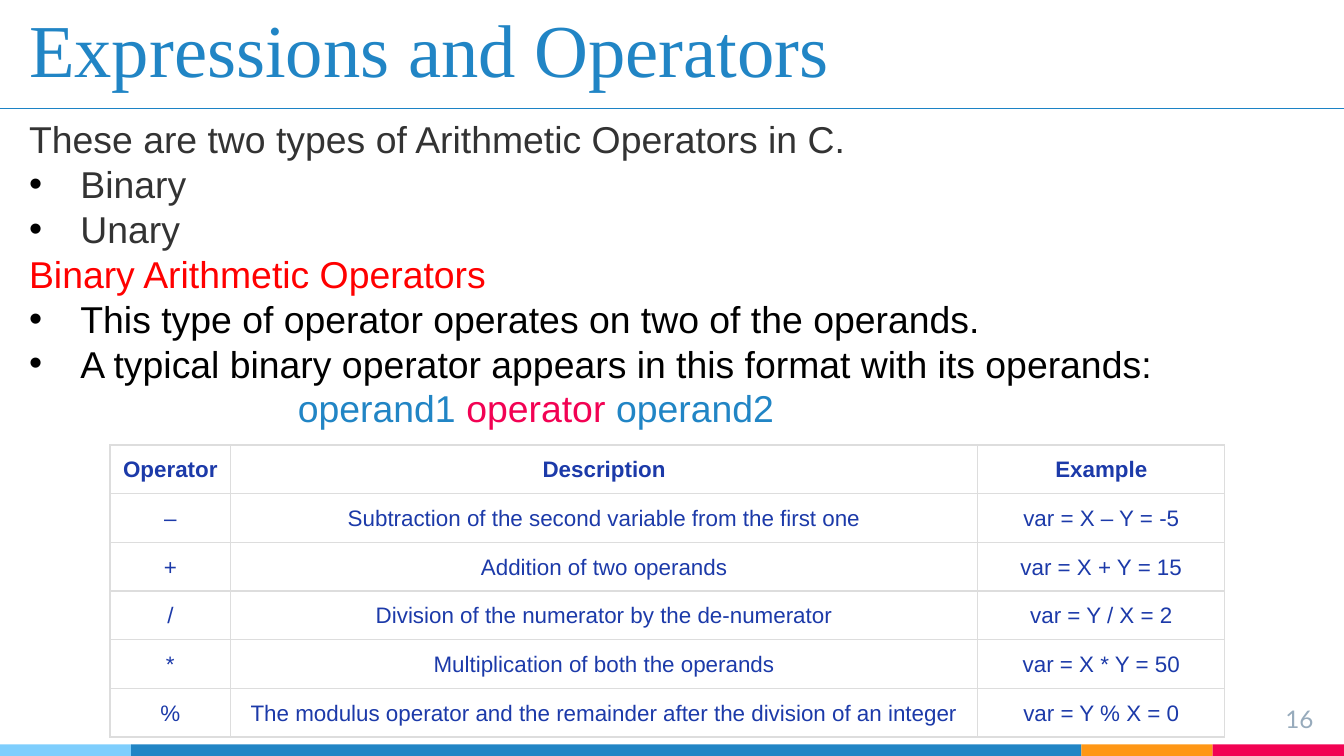
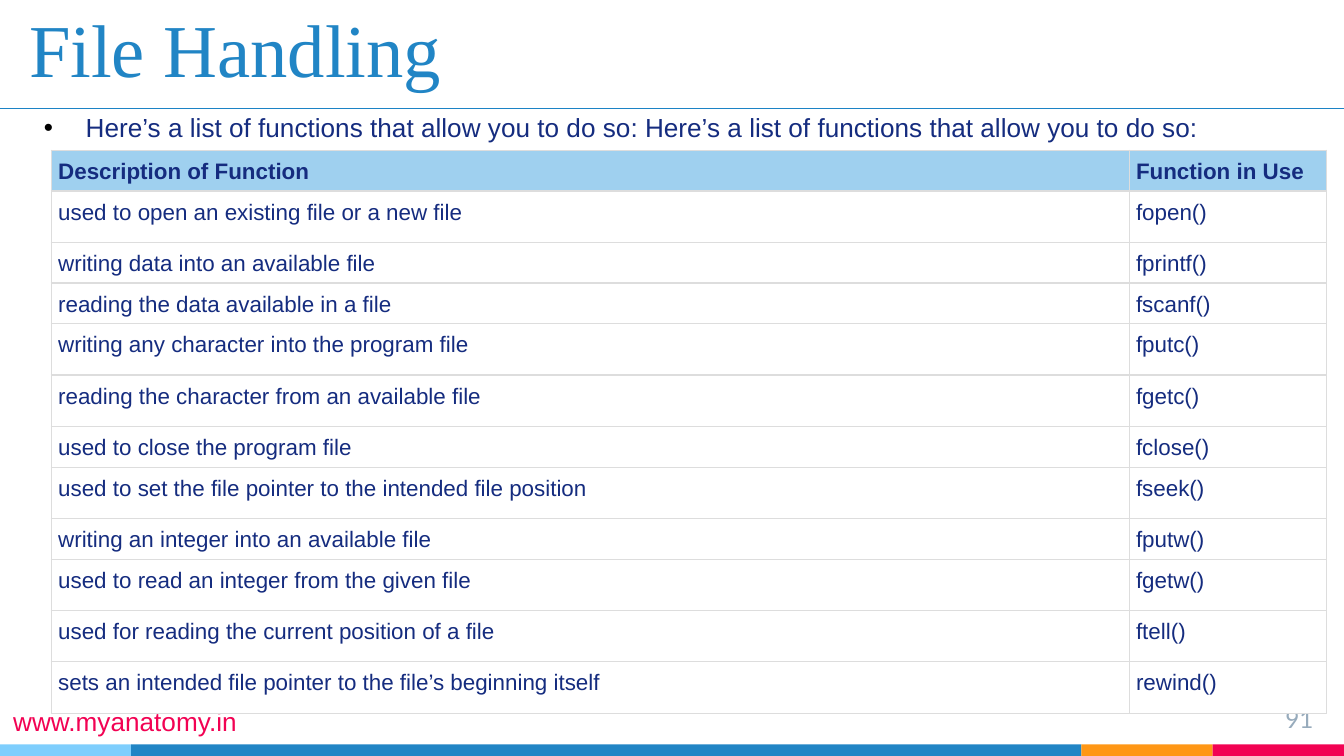
"""Build two C lecture slides: arithmetic operators and file handling."""
import pptx
import pptx.util
import pptx.dml.color
import pptx.enum.shapes
import pptx.enum.text
import pptx.oxml
import pptx.oxml.ns

Cm, Pt = pptx.util.Cm, pptx.util.Pt
ALIGN = pptx.enum.text.PP_ALIGN
FIT = pptx.enum.text.MSO_AUTO_SIZE
SHAPE = pptx.enum.shapes.MSO_SHAPE
LINK = pptx.enum.shapes.MSO_CONNECTOR

HUES = {
    "blue": "2185C5", "sky": "7ECEFD", "orange": "FF9715", "pink": "F20253",
    "rule": "1C83C5", "grey": "97ABBC", "dark": "333333", "red": "FF0000",
    "black": "000000", "white": "FFFFFF", "edge": "DDDDDD",
    "royal": "1C3AA9", "navy": "152C7F", "head": "9FD0EF",
}
WIDE, HIGH = 25.4, 14.29
BANDS = [("sky", 2.48), ("blue", 17.96), ("orange", 2.48), ("pink", 2.48)]
BAND = 0.22

TYPES = [
    ("", [("These are two types of Arithmetic Operators in C.", "dark")]),
    ("•", [("Binary", "dark")]),
    ("•", [("Unary", "dark")]),
    ("", [("Binary Arithmetic Operators", "red")]),
    ("•", [("This type of operator operates on two of the operands.", "black")]),
    ("•", [("A typical binary operator appears in this format with its operands:",
            "black")]),
    ("in", [("operand1 ", "blue"), ("operator ", "pink"), ("operand2", "blue")]),
]
MATHS = [
    ("Operator", "Description", "Example"),
    ("–", "Subtraction of the second variable from the first one", "var = X – Y = -5"),
    ("+", "Addition of two operands", "var = X + Y = 15"),
    ("/", "Division of the numerator by the de-numerator", "var = Y / X = 2"),
    ("*", "Multiplication of both the operands", "var = X * Y = 50"),
    ("%", "The modulus operator and the remainder after the division of an integer",
     "var = Y % X = 0"),
]
INTRO = [("•", [("Here’s a list of functions that allow you to do so: "
                 "Here’s a list of functions that allow you to do so:", "navy")])]
SITE = [("", [("www.myanatomy.in", "pink")])]
FILES = [
    ("Description of Function", "Function in Use"),
    ("used to open an existing file or a new file", "fopen()"),
    ("writing data into an available file", "fprintf()"),
    ("reading the data available in a file", "fscanf()"),
    ("writing any character into the program file", "fputc()"),
    ("reading the character from an available file", "fgetc()"),
    ("used to close the program file", "fclose()"),
    ("used to set the file pointer to the intended file position", "fseek()"),
    ("writing an integer into an available file", "fputw()"),
    ("used to read an integer from the given file", "fgetw()"),
    ("used for reading the current position of a file", "ftell()"),
    ("sets an intended file pointer to the file’s beginning itself", "rewind()"),
]
LOW, TALL = 0.77, 0.97
ROWS = [LOW, TALL, LOW, LOW, TALL, TALL, LOW, TALL, LOW, TALL, TALL, TALL]


def put(item, **vals):
    for name, val in vals.items():
        setattr(item, name, val)


def rgb(hue):
    return pptx.dml.color.RGBColor.from_string(HUES[hue])


def paint(fill, hue):
    fill.solid()
    fill.fore_color.rgb = rgb(hue)


def add_xml(node, tag, body=""):
    space = pptx.oxml.ns.nsdecls("a")
    name = tag.split()[0]
    node.append(pptx.oxml.parse_xml(f"<a:{tag} {space}>{body}</a:{name}>"))


def inset(item, gap):
    put(item, **{f"margin_{side}": Cm(gap)
                 for side in ("left", "right", "top", "bottom")})


def write(para, runs, size, face="Arial", bold=False, lead=True, **vals):
    put(para, **vals)
    if lead:
        para.line_spacing = Pt(size * 1.2)
    for text, hue in runs:
        run = para.add_run()
        run.text = text
        put(run.font, size=Pt(size), name=face, bold=bold)
        run.font.color.rgb = rgb(hue)


def dent(para, mark, hang):
    props = para._p.get_or_add_pPr()
    if mark == "in":
        props.set("marL", str(Cm(5.08)))
    elif mark:
        props.set("marL", str(Cm(hang)))
        props.set("indent", str(-Cm(hang)))
        add_xml(props, "buClr", f'<a:srgbClr val="{HUES["black"]}"/>')
        add_xml(props, 'buFont typeface="Arial"')
        add_xml(props, f'buChar char="{mark}"')


def add_text(slide, spot, lines, size, hang=0.97, wrap=True):
    frame = slide.shapes.add_textbox(*map(Cm, spot)).text_frame
    put(frame, word_wrap=wrap, auto_size=FIT.NONE)
    for num, (mark, runs) in enumerate(lines):
        para = frame.add_paragraph() if num else frame.paragraphs[0]
        dent(para, mark, hang)
        write(para, runs, size)


def add_grid(slide, left, top, data, cols, rows, gap, hue, head, align):
    spot = map(Cm, (left, top, sum(cols), sum(rows)))
    grid = slide.shapes.add_table(len(rows), len(cols), *spot).table
    put(grid, first_row=False, horz_banding=False)
    for col, wide in zip(grid.columns, cols):
        col.width = Cm(wide)
    for y, (row, high) in enumerate(zip(data, rows)):
        grid.rows[y].height = Cm(high)
        for x, text in enumerate(row):
            cell = grid.cell(y, x)
            inset(cell, gap)
            props = cell._tc.get_or_add_tcPr()
            for side in "LRTB":
                add_xml(props, f'ln{side} w="{Pt(0.75)}"',
                        f'<a:solidFill><a:srgbClr val="{HUES["edge"]}"/></a:solidFill>')
            paint(cell.fill, "white" if y else head)
            write(cell.text_frame.paragraphs[0], [(text, hue)], 12,
                  bold=not y, alignment=align)


def add_slide(deck, title, page):
    slide = deck.slides.add_slide(deck.slide_layouts[5])
    left = 0
    for hue, wide in BANDS:
        spot = map(Cm, (left, HIGH - BAND, wide, BAND))
        band = slide.shapes.add_shape(SHAPE.RECTANGLE, *spot)
        band.shadow.inherit = False
        paint(band.fill, hue)
        band.line.fill.background()
        left += wide

    head = slide.shapes.title
    put(head, left=Cm(0.3), top=Cm(0.25), width=Cm(24.6), height=Cm(1.75))
    put(head.text_frame, word_wrap=True, auto_size=FIT.NONE,
        vertical_anchor=pptx.enum.text.MSO_ANCHOR.BOTTOM)
    inset(head.text_frame, 0.25)
    write(head.text_frame.paragraphs[0], [(title, "blue")], 40,
          "Times New Roman", lead=False, alignment=ALIGN.LEFT)

    frame = slide.shapes.add_textbox(*map(Cm, (23.55, 13.06, 1.52, 0.86))).text_frame
    frame.word_wrap = True
    inset(frame, 0.25)
    write(frame.paragraphs[0], [(page, "grey")], 13, "Lato", lead=False,
          alignment=ALIGN.RIGHT)

    spot = map(Cm, (0, 2.05, WIDE, 2.05))
    rule = slide.shapes.add_connector(LINK.STRAIGHT, *spot)
    rule.line.width = Pt(0.75)
    rule.line.color.rgb = rgb("rule")
    add_xml(rule._element.spPr, "effectLst")
    return slide


def main():
    deck = pptx.Presentation()
    put(deck, slide_width=Cm(WIDE), slide_height=Cm(HIGH))

    slide = add_slide(deck, "Expressions and Operators", "16")
    add_text(slide, (0.3, 2.08, 24.6, 6.25), TYPES, 20)
    add_grid(slide, 2.08, 8.41, MATHS, [2.28, 14.12, 4.67], [0.92] * len(MATHS),
             0.2, "royal", "white", ALIGN.CENTER)

    slide = add_slide(deck, "File Handling", "91")
    add_text(slide, (0, 13.2, 4.83, 0.86), SITE, 14, wrap=False)
    add_grid(slide, 0.97, 2.84, FILES, [20.37, 3.73], ROWS,
             0.13, "navy", "head", ALIGN.LEFT)
    add_text(slide, (0.58, 1.98, 24.5, 0.86), INTRO, 14, hang=0.79)

    deck.save("out.pptx")


if __name__ == "__main__":
    main()
